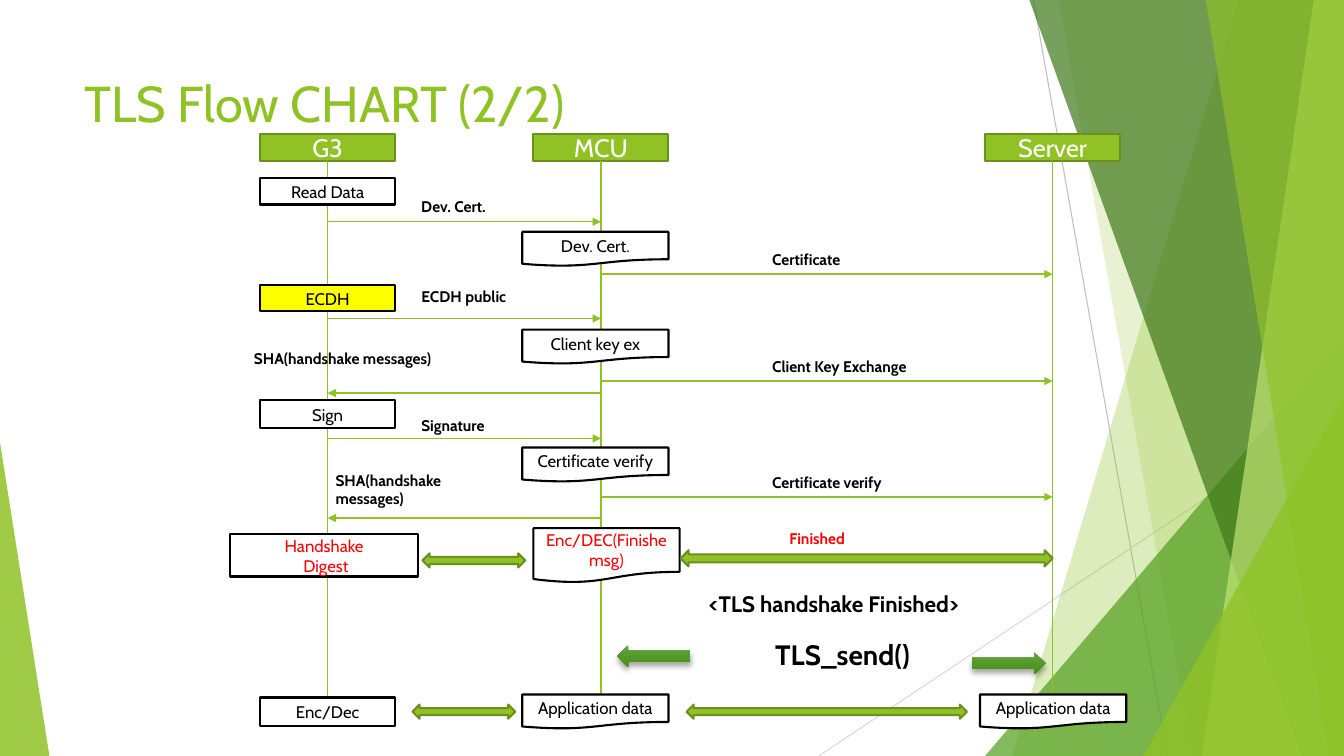
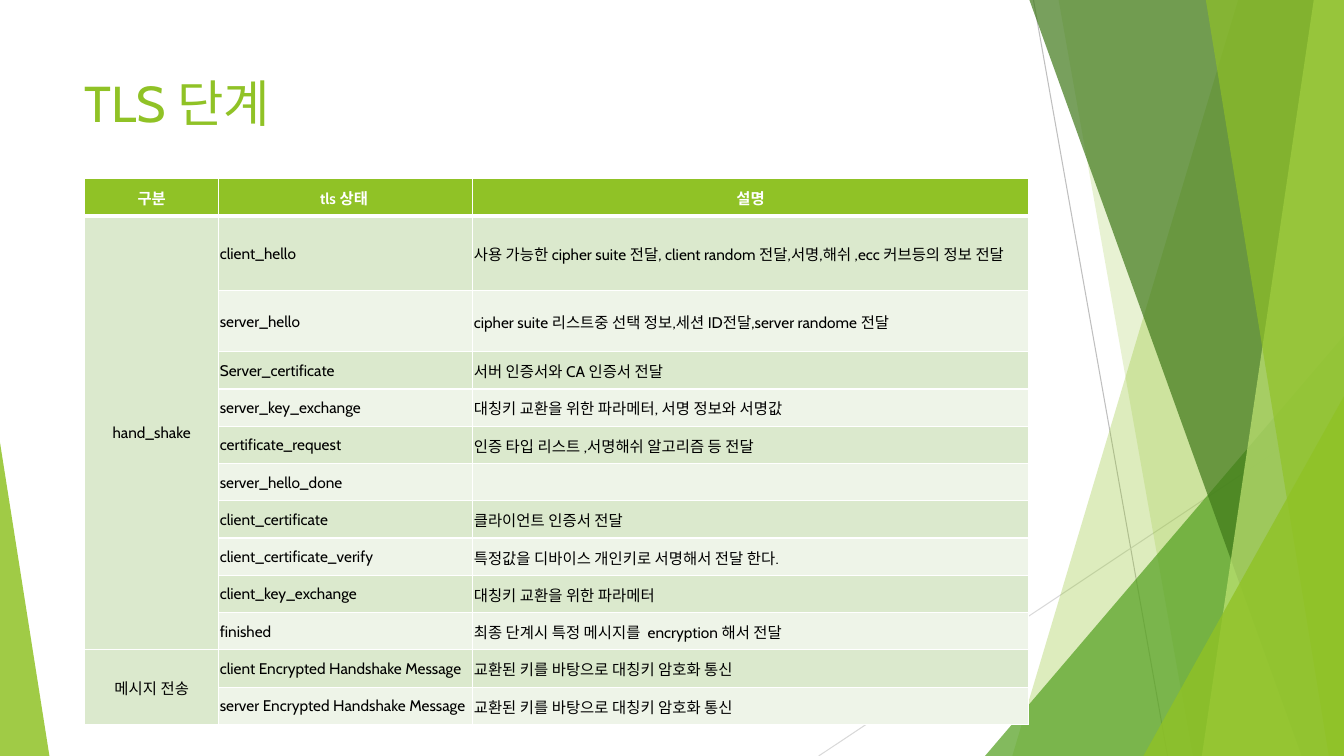
from lxml.etree import SubElement
from pptx import Presentation
from pptx.dml.color import RGBColor
from pptx.enum.shapes import MSO_CONNECTOR, MSO_SHAPE as SHAPE
from pptx.enum.text import MSO_ANCHOR as ANCHOR, PP_ALIGN as ALIGN
from pptx.oxml import parse_xml
from pptx.oxml.ns import nsdecls, qn
from pptx.util import Inches, Pt

FONT = "Cabin"
WIDTH, HEIGHT = 13.33, 7.5
GREEN, DARK_GREEN, WHITE, BLACK = "90C226", "6B901C", "FFFFFF", "000000"
RED, YELLOW = "FF0000", "FFFF00"
STRONG_BAND, LIGHT_BAND = "DBE9CD", "EEF4E8"

LANES = {"G3": 0.97, "MCU": 3.68, "Server": 8.16}
MESSAGES = [
    ("G3", "MCU", 0.87), ("MCU", "Server", 1.39), ("G3", "MCU", 1.83),
    ("MCU", "Server", 2.45), ("MCU", "G3", 2.57), ("G3", "MCU", 3.02),
    ("MCU", "Server", 3.6), ("MCU", "G3", 3.81),
]
STEPS = [
    ("Read Data", 0.3, 0.44, 1.34, 0.26, WHITE, BLACK),
    ("ECDH", 0.3, 1.5, 1.34, 0.26, YELLOW, BLACK),
    ("Sign", 0.3, 2.64, 1.34, 0.28, WHITE, BLACK),
    ("Handshake\n Digest", 0, 3.97, 1.87, 0.42, WHITE, RED),
    ("Enc/Dec", 0.3, 5.59, 1.34, 0.28, WHITE, BLACK),
]
DOCUMENTS = [
    ("Dev. Cert.", 2.9, 0.97, 0.34, BLACK),
    ("Client key ex", 2.9, 1.94, 0.34, BLACK),
    ("Certificate verify", 2.9, 3.11, 0.34, BLACK),
    ("Enc/DEC(Finishe msg)", 3.01, 3.91, 0.54, RED),
    ("Application data", 2.9, 5.56, 0.34, BLACK),
    ("Application data", 7.44, 5.56, 0.34, BLACK),
]
LABELS = [
    ("Dev. Cert.", 1.8, 0.58, 0.94, 11, BLACK),
    ("Certificate", 5.28, 1.1, 0.98, 11, BLACK),
    ("ECDH public", 1.8, 1.47, 1.12, 11, BLACK),
    ("SHA(handshake messages)", 0.14, 2.08, 2.57, 11, BLACK),
    ("Client Key Exchange", 5.28, 2.16, 1.69, 11, BLACK),
    ("Signature", 1.8, 2.75, 0.91, 11, BLACK),
    ("Certificate verify", 5.28, 3.31, 1.44, 11, BLACK),
    ("SHA(handshake\vmessages)", 0.95, 3.29, 1.74, 11, BLACK),
    ("Finished", 5.45, 3.87, 0.81, 11, RED),
    ("<TLS handshake Finished>", 4.65, 4.48, 3.08, 16, BLACK),
    ("TLS_send()", 5.31, 4.94, 1.65, 20, BLACK),
]
EXCHANGES = [
    (1.91, 4.16, 1.02, 0.14), (4.47, 4.13, 3.69, 0.16),
    (1.81, 5.66, 1.02, 0.14), (4.53, 5.66, 2.78, 0.14),
]
SEND_ARROWS = [(SHAPE.LEFT_ARROW, 3.84, 5.07), (SHAPE.RIGHT_ARROW, 7.36, 5.14)]

COLUMN_WIDTHS = [1.33, 2.52, 5.51]
TALL_ROWS = {1: 0.74, 2: 0.61}
STAGES = [
    ("구분", "tls 상태 ", "설명"),
    ("hand_shake", "client_hello",
     "사용 가능한 cipher suite 전달, client random 전달,서명,해쉬 ,ecc 커브등의 정보 전달"),
    ("", "server_hello", "cipher suite 리스트중 선택 정보,세션 ID전달,server randome 전달"),
    ("", "Server_certificate", "서버 인증서와 CA 인증서 전달"),
    ("", "server_key_exchange", "대칭키 교환을 위한 파라메터, 서명 정보와 서명값"),
    ("", "certificate_request", "인증 타입 리스트 ,서명해쉬 알고리즘 등 전달"),
    ("", "server_hello_done", ""),
    ("", "client_certificate", "클라이언트 인증서 전달"),
    ("", "client_certificate_verify", "특정값을 디바이스 개인키로 서명해서 전달 한다."),
    ("", "client_key_exchange", "대칭키 교환을 위한 파라메터"),
    ("", "finished", "최종 단계시 특정 메시지를  encryption 해서 전달 "),
    ("메시지 전송", "client Encrypted Handshake Message", "교환된 키를 바탕으로 대칭키 암호화 통신"),
    ("", "server Encrypted Handshake Message", "교환된 키를 바탕으로 대칭키 암호화 통신"),
]
STAGE_GROUPS = [(1, 10), (11, 12)]


def rgb(value):
    """Return the colour for a hex string."""
    return RGBColor.from_string(value)


def write(frame, text, size, colour, bold=False, align=ALIGN.LEFT):
    """Fill a text frame and format its runs."""
    frame.text = text
    frame.word_wrap = True
    for para in frame.paragraphs:
        para.alignment = align
        for run in para.runs:
            run.font.name, run.font.size, run.font.bold = FONT, Pt(size), bold
            run.font.color.rgb = rgb(colour)


def text_box(slide, text, left, top, width, height, size, colour, bold=False):
    """Add a wrapping text box."""
    box = slide.shapes.add_textbox(Inches(left), Inches(top), Inches(width), Inches(height))
    write(box.text_frame, text, size, colour, bold)


def paint(shape, fill, line=None, opacity=None):
    """Set the fill, outline and opacity of a shape without shadow."""
    shape.shadow.inherit = False
    shape.fill.solid()
    shape.fill.fore_color.rgb = rgb(fill)
    if opacity:
        colour = shape.fill._xPr.find(qn("a:solidFill"))[0]
        SubElement(colour, qn("a:alpha"), val=str(opacity * 1000))
    if line:
        shape.line.color.rgb = rgb(line)
        shape.line.width = Pt(1.5)
    else:
        shape.line.fill.background()


def preset(slide, kind, left, top, width, height):
    """Add a preset shape measured in inches."""
    return slide.shapes.add_shape(kind, Inches(left), Inches(top), Inches(width), Inches(height))


def node(slide, kind, text, box, fill, line, size, colour):
    """Add a filled shape with centred text."""
    shape = preset(slide, kind, *box)
    paint(shape, fill, line)
    shape.text_frame.vertical_anchor = ANCHOR.MIDDLE
    write(shape.text_frame, text, size, colour, align=ALIGN.CENTER)


def connect(slide, start, end, colour, width, arrow=False):
    """Draw a straight line, with an arrowhead at its end if asked."""
    line = slide.shapes.add_connector(MSO_CONNECTOR.STRAIGHT, *map(Inches, (*start, *end)))
    line.line.color.rgb = rgb(colour)
    line.line.width = Pt(width)
    if arrow:
        SubElement(line.line._get_or_add_ln(), qn("a:tailEnd"), type="triangle")
    SubElement(line._element.spPr, qn("a:effectLst"))


def shard(slide, top_x, bottom_x, colour, opacity):
    """Fill the area from a slanted edge to the right side of the slide."""
    corners = [(WIDTH, 0), (WIDTH, HEIGHT), (bottom_x, HEIGHT)]
    builder = slide.shapes.build_freeform(Inches(top_x), 0)
    builder.add_line_segments([(Inches(x), Inches(y)) for x, y in corners], close=True)
    paint(builder.convert_to_shape(), colour, opacity=opacity)


def corner(slide, left, top, width, apex, colour, opacity):
    """Add a right triangle that stands on the bottom of the slide."""
    shape = preset(slide, SHAPE.ISOSCELES_TRIANGLE, left, top, width, HEIGHT - top)
    shape.adjustments[0] = apex
    paint(shape, colour, opacity=opacity)


def backdrop(slide):
    """Draw the facets shared by all slides."""
    connect(slide, (10.25, 0), (11.58, HEIGHT), "BFBFBF", 0.75)
    connect(slide, (WIDTH, 4.03), (8.12, HEIGHT), "D9D9D9", 0.75)
    shard(slide, 12.28, 10.04, GREEN, 30)
    shard(slide, 10.5, 11.83, GREEN, 20)
    corner(slide, 9.77, 3.33, 3.56, 1, "54A021", 72)
    shard(slide, 10.21, 12.91, "3F7819", 70)
    shard(slide, 13.03, 11.92, "C0E474", 70)
    shard(slide, 11.96, 13.18, GREEN, 65)
    corner(slide, 11.34, 3.93, 1.99, 1, GREEN, 80)
    corner(slide, 0, 4.39, 0.49, 0, GREEN, 85)


def titled_slide(deck, title):
    """Add a slide with the shared backdrop and title style."""
    slide = deck.slides.add_slide(deck.slide_layouts[6])
    backdrop(slide)
    text_box(slide, title, 0.74, 0.67, 9.4, 1.44, 36, GREEN)
    return slide


def send_arrow(slide, kind, left, top):
    """Add a shaded block arrow with a soft shadow."""
    arrow = preset(slide, kind, left, top, 0.73, 0.22)
    arrow.line.fill.background()
    arrow.fill.gradient()
    arrow.fill.gradient_angle = 270
    for stop, position, colour in zip(arrow.fill.gradient_stops, (0, 0.78), ("63A545", "4D921E")):
        stop.position = position
        stop.color.rgb = rgb(colour)
    arrow._element.spPr.append(parse_xml(
        f'<a:effectLst {nsdecls("a")}><a:outerShdw blurRad="{Pt(4)}" dist="{Pt(3)}" '
        'dir="5400000" rotWithShape="0"><a:srgbClr val="000000"><a:alpha val="35000"/>'
        '</a:srgbClr></a:outerShdw></a:effectLst>'))


def flow_chart(slide, left, top):
    """Draw the handshake sequence from its top left corner."""
    for name, lane in LANES.items():
        x = left + lane
        node(slide, SHAPE.RECTANGLE, name, (x - 0.67, top, 1.34, 0.27),
             GREEN, DARK_GREEN, 18, WHITE)
        connect(slide, (x, top + 0.27), (x, top + 5.72), GREEN, 1)
    for sender, receiver, y in MESSAGES:
        connect(slide, (left + LANES[sender], top + y), (left + LANES[receiver], top + y),
                GREEN, 1, arrow=True)
    for text, x, y, width, height, fill, colour in STEPS:
        node(slide, SHAPE.RECTANGLE, text, (left + x, top + y, width, height),
             fill, BLACK, 12, colour)
    for text, x, y, height, colour in DOCUMENTS:
        node(slide, SHAPE.FLOWCHART_DOCUMENT, text, (left + x, top + y, 1.45, height),
             WHITE, BLACK, 12, colour)
    for x, y, width, height in EXCHANGES:
        arrow = preset(slide, SHAPE.LEFT_RIGHT_ARROW, left + x, top + y, width, height)
        paint(arrow, GREEN, DARK_GREEN)
    for kind, x, y in SEND_ARROWS:
        send_arrow(slide, kind, left + x, top + y)
    for text, x, y, width, size, colour in LABELS:
        text_box(slide, text, left + x, top + y, width, 0.29, size, colour, bold=True)


def border(cell, widths):
    """Give a cell white borders, in the order left, right, top, bottom."""
    for index, (side, width) in enumerate(zip("LRTB", widths)):
        cell._tc.get_or_add_tcPr().insert(index, parse_xml(
            f'<a:ln{side} {nsdecls("a")} w="{Pt(width)}"><a:solidFill>'
            f'<a:srgbClr val="{WHITE}"/></a:solidFill></a:ln{side}>'))


def stage_table(slide, left, top):
    """Add the table of handshake stages from its top left corner."""
    heights = [TALL_ROWS.get(row, 0.37) for row in range(len(STAGES))]
    table = slide.shapes.add_table(
        len(STAGES), len(COLUMN_WIDTHS), Inches(left), Inches(top),
        Inches(sum(COLUMN_WIDTHS)), Inches(sum(heights))).table
    for column, width in zip(table.columns, COLUMN_WIDTHS):
        column.width = Inches(width)
    for row, (height, texts) in enumerate(zip(heights, STAGES)):
        table.rows[row].height = Inches(height)
        header = row == 0
        for column, text in enumerate(texts):
            cell = table.cell(row, column)
            cell.margin_left = cell.margin_right = cell.margin_top = Inches(0.01)
            cell.margin_bottom = 0
            cell.vertical_anchor = ANCHOR.MIDDLE
            band = STRONG_BAND if row % 2 or column == 0 else LIGHT_BAND
            cell.fill.solid()
            cell.fill.fore_color.rgb = rgb(GREEN if header else band)
            border(cell, (1, 1, 3 if row == 1 else 1, 3 if header else 1))
            write(cell.text_frame, text, 11, WHITE if header else BLACK, header,
                  ALIGN.CENTER if header or column == 0 else ALIGN.LEFT)
    for first, last in STAGE_GROUPS:
        table.cell(first, 0).merge(table.cell(last, 0))


def build():
    """Build and save the deck."""
    deck = Presentation()
    deck.slide_width, deck.slide_height = Inches(WIDTH), Inches(HEIGHT)
    flow_chart(titled_slide(deck, "TLS Flow CHART (2/2)"), 2.28, 1.33)
    stage_table(titled_slide(deck, "TLS 단계"), 0.84, 1.77)
    deck.save("out.pptx")


build()
